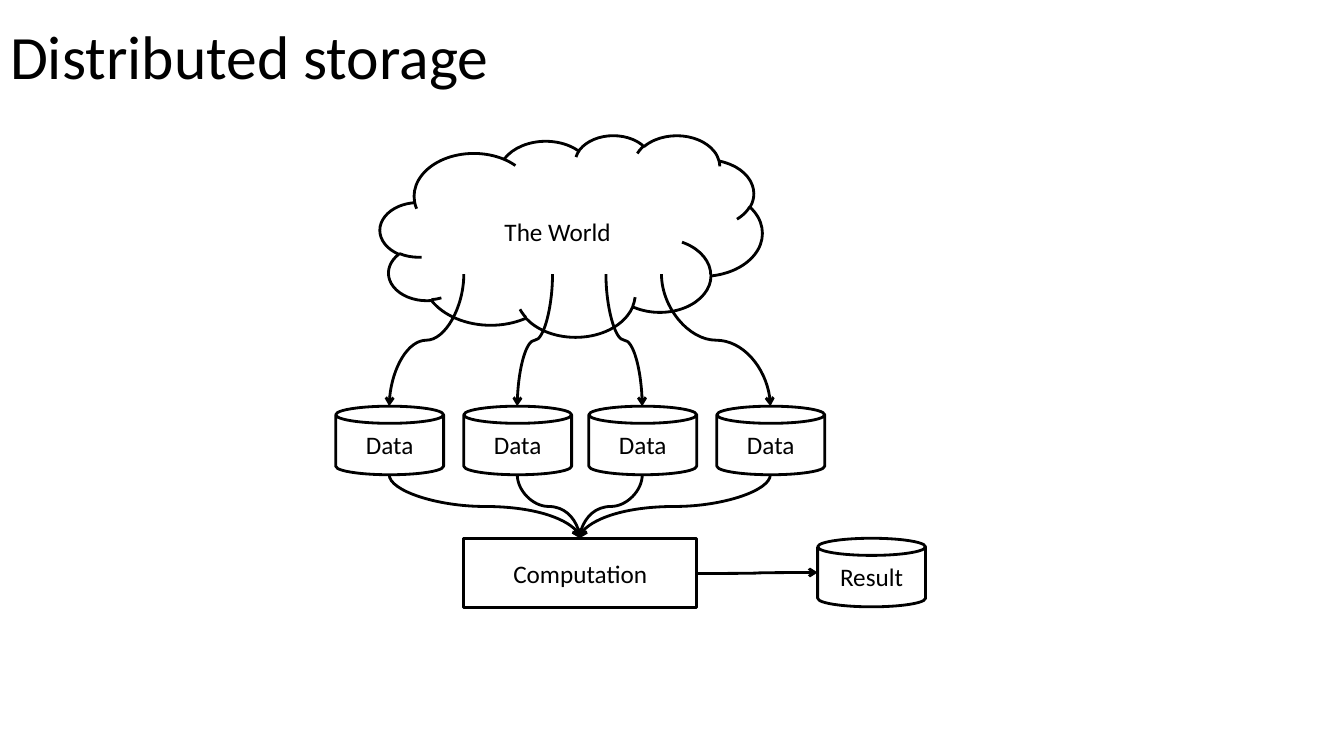
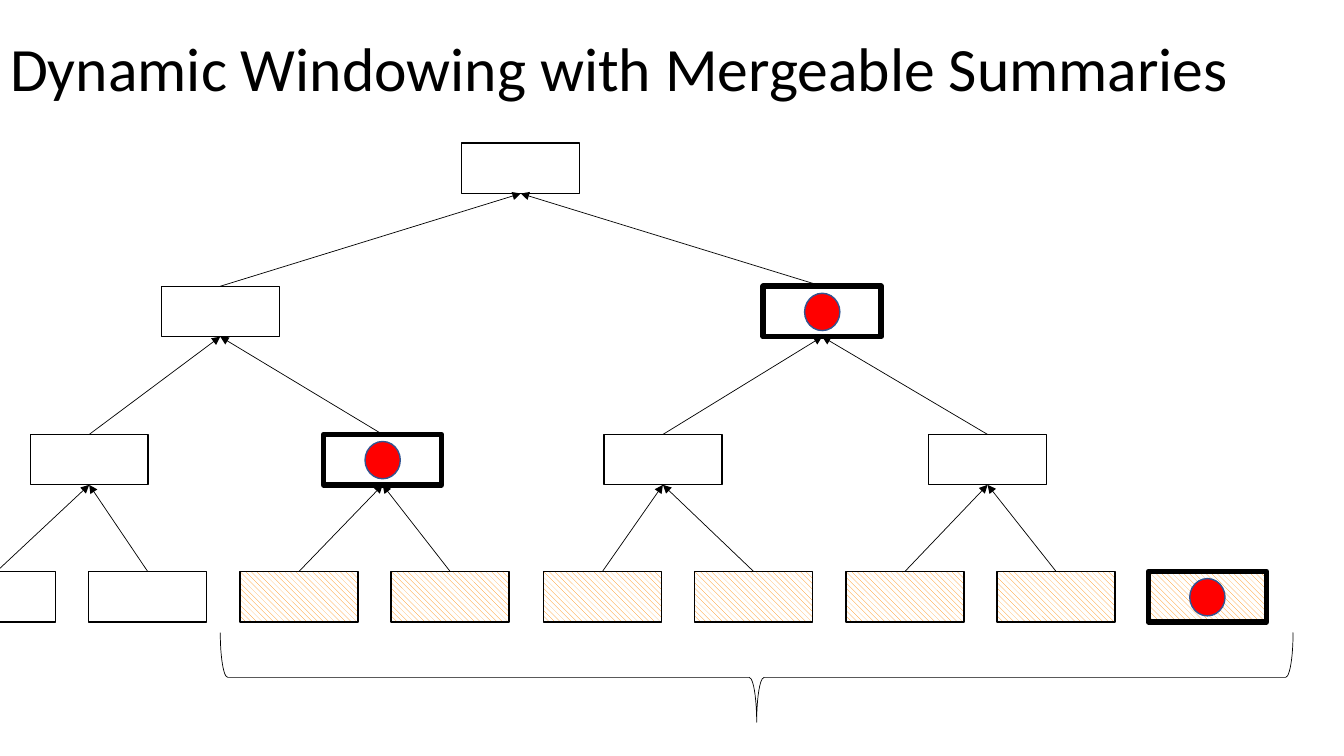
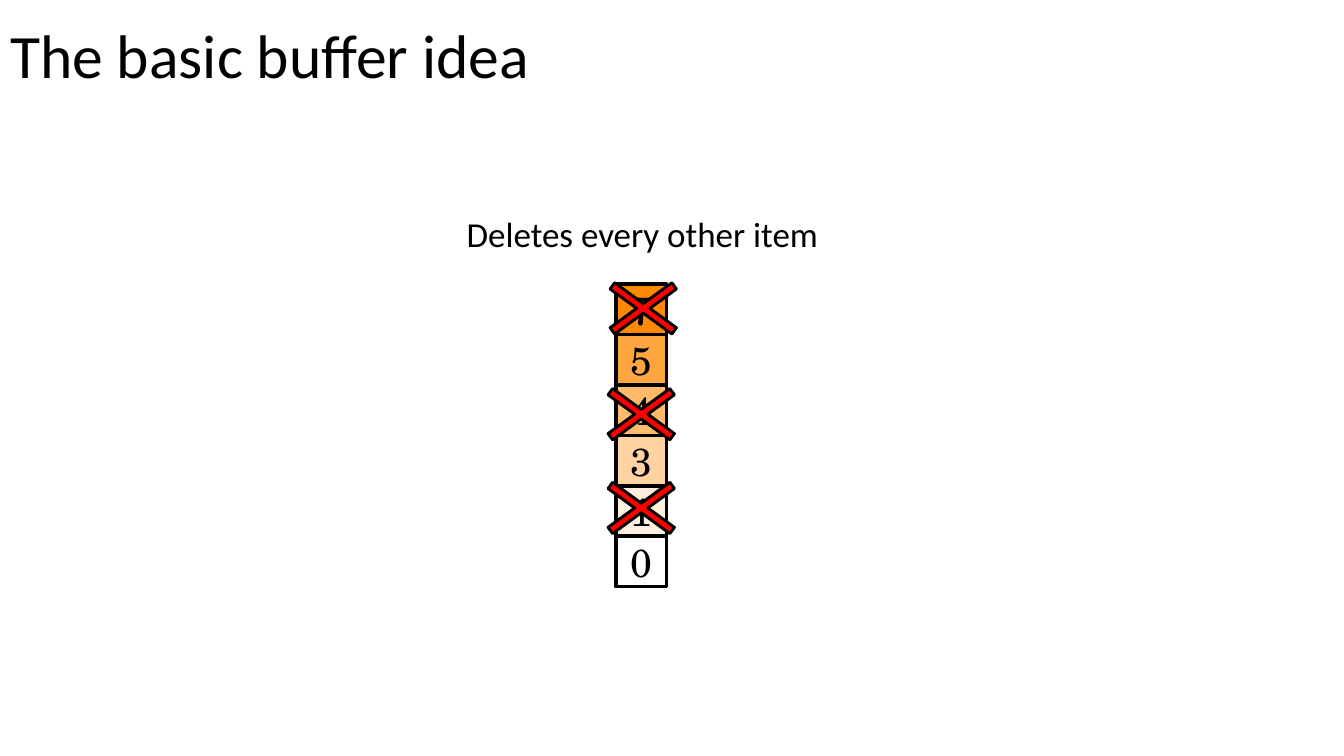
import pptx
import pptx.dml.color
import pptx.enum.dml
import pptx.enum.shapes
import pptx.enum.text
import pptx.oxml.ns
import pptx.util
import lxml.etree

EMU_PER_PX = 9144
BLACK = "000000"
WHITE = "FFFFFF"
ORANGE = "FF8900"
RED = "FF0000"
DOT_EDGE = "325491"
SANS = "Calibri"
SERIF = "TeX Gyre Schola"
SHAPES = pptx.enum.shapes.MSO_SHAPE
CONNECTORS = pptx.enum.shapes.MSO_CONNECTOR
ANCHORS = pptx.enum.text.MSO_ANCHOR
ALIGNMENTS = pptx.enum.text.PP_ALIGN


def px(length):
    return pptx.util.Emu(round(length * EMU_PER_PX))


def color(value):
    return pptx.dml.color.RGBColor.from_string(value)


def add_element(parent, tag, **attributes):
    return lxml.etree.SubElement(parent, pptx.oxml.ns.qn(tag), attributes)


def set_line(line, width, edge=BLACK):
    line.width = pptx.util.Pt(width)
    line.fill.solid()
    line.fill.fore_color.rgb = color(edge)


def write(frame, text, size, font=SANS, alignment=ALIGNMENTS.LEFT):
    paragraph = frame.paragraphs[0]
    paragraph.alignment = alignment
    run = paragraph.add_run()
    run.text = text
    run.font.size = pptx.util.Pt(size)
    run.font.name = font
    run.font.color.rgb = color(BLACK)
    return paragraph


def add_titled_slide(presentation, text, width, height):
    slide = presentation.slides.add_slide(presentation.slide_layouts[5])
    title = slide.shapes.title
    title.left, title.top, title.width, title.height = px(0), px(0), px(width), px(height)
    frame = title.text_frame
    frame.auto_size = pptx.enum.text.MSO_AUTO_SIZE.NONE
    frame.vertical_anchor = ANCHORS.MIDDLE
    write(frame, text, 44).line_spacing = 0.9
    return slide


def add_shape(slide, kind, left, top, width, height, line_width, fill=None, edge=BLACK):
    shape = slide.shapes.add_shape(kind, px(left), px(top), px(width), px(height))
    shape.shadow.inherit = False
    set_line(shape.line, line_width, edge)
    if fill:
        shape.fill.solid()
        shape.fill.fore_color.rgb = color(fill)
    else:
        shape.fill.background()
    return shape


def label(shape, text, size=18, font=SANS):
    shape.text_frame.vertical_anchor = ANCHORS.MIDDLE
    write(shape.text_frame, text, size, font, ALIGNMENTS.CENTER)


def add_arrow(slide, kind, left, top, right, bottom, width, head):
    connector = slide.shapes.add_connector(kind, px(left), px(top), px(right), px(bottom))
    set_line(connector.line, width)
    add_element(connector.line._get_or_add_ln(), "a:tailEnd", type=head)
    add_element(connector.element.spPr, "a:effectLst")
    return connector


def add_curve_down(slide, start_x, start_y, end_x, end_y):
    drop, shift = end_y - start_y, abs(end_x - start_x)
    left = (start_x + end_x - drop) / 2
    top = (start_y + end_y - shift) / 2
    connector = add_arrow(slide, CONNECTORS.CURVE, left, top, left + drop, top + shift, 2, "arrow")
    transform = connector.element.spPr.find(pptx.oxml.ns.qn("a:xfrm"))
    if end_x < start_x:
        transform.set("rot", "5400000")
    else:
        transform.set("rot", "16200000")
        transform.set("flipH", "1")


def add_can(slide, left, top, text):
    label(add_shape(slide, SHAPES.CAN, left, top, 107, 68, 2, WHITE), text)


def build_storage(presentation):
    slide = add_titled_slide(presentation, "Distributed storage", 932, 118)
    label(add_shape(slide, SHAPES.RECTANGLE, 460, 534, 231, 69, 2), "Computation")
    label(add_shape(slide, SHAPES.CLOUD, 377, 134, 379, 200, 2), "The World")
    for source_x, can_left in ((460, 333), (548, 460), (601, 584), (656, 711)):
        center = can_left + 53
        add_can(slide, can_left, 403, "Data")
        add_curve_down(slide, source_x, 272, center, 403)
        add_curve_down(slide, center, 471, 575, 534)
    add_can(slide, 811, 534, "Result")
    add_arrow(slide, CONNECTORS.CURVE, 691, 569, 811, 568, 2, "arrow")


def add_node(slide, left, top, chosen, hatched):
    node = add_shape(slide, SHAPES.RECTANGLE, left, top, 117, 50, 4 if chosen else 1)
    if hatched:
        node.fill.patterned()
        node.fill.pattern = pptx.enum.dml.MSO_PATTERN.WIDE_DOWNWARD_DIAGONAL
        node.fill.fore_color.rgb = color(ORANGE)
        node.fill.back_color.rgb = color(WHITE)
    if chosen:
        add_shape(slide, SHAPES.OVAL, left + 41, top + 7, 35, 37, 1, RED, DOT_EDGE)
    return node


def build_windowing(presentation):
    slide = add_titled_slide(
        presentation, "Dynamic Windowing with Mergeable Summaries", 1333, 142)
    leaf_lefts = [round(-62 + 150.13 * index) for index in range(9)]
    levels = (
        (567, leaf_lefts, 8),
        (431, (30, 321, 599, 921), 1),
        (284, (160, 757), 1),
        (142, (458,), None),
    )
    children = []
    for top, lefts, chosen in levels:
        is_leaf = not children
        nodes = [add_node(slide, left, top, index == chosen, is_leaf and index >= 2)
                 for index, left in enumerate(lefts)]
        for index, child in enumerate(children[:2 * len(nodes)]):
            arrow = add_arrow(slide, CONNECTORS.STRAIGHT, 0, 0, 0, 0, 0.5, "triangle")
            arrow.begin_connect(child, 0)
            arrow.end_connect(nodes[index // 2], 2)
        children = nodes
    brace = add_shape(slide, SHAPES.LEFT_BRACE, 706, 140, 89, 1064, 0.5)
    brace.rotation = 270


def build_buffer(presentation):
    slide = add_titled_slide(presentation, "The basic buffer idea", 932, 116)
    caption = slide.shapes.add_textbox(px(453), px(206), px(501), px(52))
    caption.text_frame.word_wrap = True
    write(caption.text_frame, "Deletes every other item", 25)
    add_shape(slide, SHAPES.RECTANGLE, 611, 282, 50, 300, 2.5)
    items = (("7", 100), ("5", 75), ("4", 58), ("3", 37), ("1", 13), ("0", 0))
    for index, (text, opacity) in enumerate(items):
        cell = add_shape(slide, SHAPES.RECTANGLE, 611, 282 + 50 * index, 50, 50, 2.5,
                         ORANGE if opacity else None)
        if 0 < opacity < 100:
            fill_color = cell.element.spPr.find(pptx.oxml.ns.qn("a:solidFill"))[0]
            add_element(fill_color, "a:alpha", val=str(opacity * 1000))
        label(cell, text, 28, SERIF)
    for left, top in ((579, 263), (577, 368), (577, 461)):
        cross = add_shape(slide, SHAPES.MATH_MULTIPLY, left, top, 118, 86, 2, RED)
        cross.adjustments[0] = 0.09


def main():
    presentation = pptx.Presentation()
    presentation.slide_width = px(1333)
    presentation.slide_height = px(750)
    build_storage(presentation)
    build_windowing(presentation)
    build_buffer(presentation)
    presentation.save("out.pptx")


if __name__ == "__main__":
    main()
